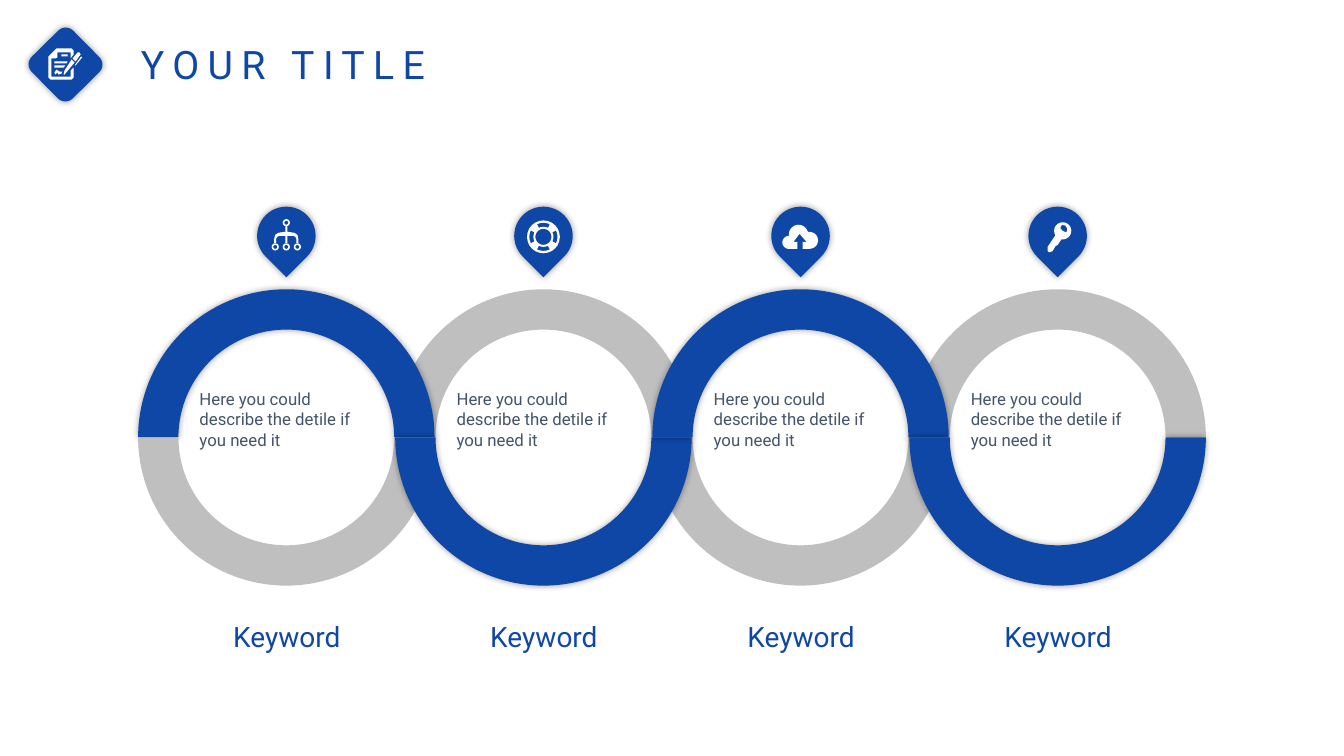
import math

import pptx
import pptx.dml.color
import pptx.enum.shapes
import pptx.enum.text
import pptx.oxml
import pptx.oxml.ns
import pptx.util
from pptx.util import Inches

COLOURS = {"blue": "0F47A6", "grey": "BFBFBF", "slate": "44546A", "white": "FFFFFF"}
FONT = "Roboto"
TITLE = "YOUR TITLE"
STEPS = [
    {"icon": "network", "keyword": "Keyword", "detail": "Here you could describe the detile if you need it"},
    {"icon": "lifebuoy", "keyword": "Keyword", "detail": "Here you could describe the detile if you need it"},
    {"icon": "cloud", "keyword": "Keyword", "detail": "Here you could describe the detile if you need it"},
    {"icon": "key", "keyword": "Keyword", "detail": "Here you could describe the detile if you need it"},
]
HALF_RINGS = [
    (3, "top", "grey"), (2, "bottom", "grey"), (1, "top", "grey"), (0, "top", "blue"),
    (0, "bottom", "grey"), (1, "bottom", "blue"), (2, "top", "blue"), (3, "bottom", "blue"),
]
HALF_ANGLES = {"top": (108, 0), "bottom": (0, 108)}
NOTE_ICON = [
    [(56, 48), (71, 48), (73, 50), (73, 54), (70, 58), (70, 52), (57, 52), (57, 57), (55, 58), (51, 58),
     (51, 76), (70, 76), (70, 70), (73, 67), (73, 77), (71, 79), (50, 79), (48, 77), (48, 56), (55, 49)],
    [(61, 54), (67, 54), (67, 56), (61, 56)],
    [(54, 61), (67, 61), (66, 63), (54, 63)],
    [(54, 65), (65, 65), (63, 67), (54, 67)],
    [(56, 69), (59, 71), (62, 71), (61, 73), (58, 74), (57, 72), (55, 74), (54, 72)],
    [(71, 59), (74, 62), (64, 74), (63, 74), (64, 70)],
    [(77, 52), (79, 52), (80, 54), (75, 61), (72, 58)],
    [(80.5, 56), (81.5, 57), (75, 65), (74, 65)],
]
FIRST_CENTRE, PITCH = 2.84, 2.55
RING_Y, RING_SIZE, RING_BAND = 4.34, 2.94, 0.4
PIN_Y, PIN_SIZE = 2.34, 0.58


def arc(x, y, radius, start=0, end=360):
    step = 15 if radius > 5 else 30
    steps = math.ceil(abs(end - start) / step)
    angles = [math.radians(start + (end - start) * i / steps) for i in range(steps + 1)]
    return [(x + radius * math.cos(a), y + radius * math.sin(a)) for a in angles]


def network_icon():
    half = [(1, -9), (1, -4), (8, -3), (11, -1), (12, 3), (12, 7), (10, 7),
            (10, 3), (9, 1), (7, 0), (1, 0), (1, 7)]
    nodes = [(0, -13), (-11, 11), (0, 11), (11, 11)]
    circles = [arc(x, y, r) for x, y in nodes for r in (3.6, 2)]
    return [half + [(-x, y) for x, y in reversed(half)]] + circles


def lifebuoy_icon():
    gaps = [arc(0, 1, 14, turn - 27, turn + 27) + arc(0, 1, 10, turn + 27, turn - 27)
            for turn in range(0, 360, 90)]
    return [arc(0, 1, 16.3), arc(0, 1, 8)] + gaps


def cloud_icon():
    arrow = [(-3, 13), (-3, 6), (-7, 6), (-1, -2), (6, 6), (2, 6), (2, 13)]
    lobes = arc(9, 4.5, 8.4, 90, -100) + arc(-2, -1.5, 9.5, -20, -185) + arc(-11.5, 6.5, 6.5, -85, -270)
    return [arrow + lobes]


def key_icon():
    shaft = [(4, 3), (0, 9), (-2, 10), (-5, 15), (-7, 16), (-9, 16), (-10, 15), (-10, 11), (-2, -1)]
    hole = [(3, -9), (4.5, -11), (8, -10), (9.5, -7), (9, -4), (7, -4), (5, -5), (3, -7)]
    return [shaft + arc(5, -5, 8.5, 150, 457), hole]


ICONS = {"network": network_icon, "lifebuoy": lifebuoy_icon, "cloud": cloud_icon, "key": key_icon}


def rgb(colour):
    return pptx.dml.color.RGBColor.from_string(COLOURS[colour])


def paint(shape, colour, glow=False):
    shape.fill.solid()
    shape.fill.fore_color.rgb = rgb(colour)
    shape.line.fill.background()
    shape.shadow.inherit = False
    if glow:
        effects = shape._element.spPr.find(pptx.oxml.ns.qn("a:effectLst"))
        effects.append(pptx.oxml.parse_xml(
            f'<a:outerShdw {pptx.oxml.ns.nsdecls("a")} blurRad="63500" algn="ctr" rotWithShape="0">'
            '<a:srgbClr val="000000"><a:alpha val="40000"/></a:srgbClr></a:outerShdw>'))


def icon(slide, contours, x=0, y=0):
    placed = [[(x * 1000 + px * 10, y * 1000 + py * 10) for px, py in c] for c in contours]
    builder = slide.shapes.build_freeform(*placed[0][0], scale=914.4)
    builder.add_line_segments(placed[0][1:], close=True)
    for contour in placed[1:]:
        builder.move_to(*contour[0])
        builder.add_line_segments(contour[1:], close=True)
    paint(builder.convert_to_shape(), "white")


def centred(slide, preset, x, y, size, colour="blue"):
    box = (x - size / 2, y - size / 2, size, size)
    shape = slide.shapes.add_shape(preset, *map(Inches, box))
    paint(shape, colour, glow=colour == "blue")
    return shape


def label(slide, box, text, size, colour, align="LEFT", wrap=True):
    frame = slide.shapes.add_textbox(*map(Inches, box)).text_frame
    frame.word_wrap = wrap
    paragraph = frame.paragraphs[0]
    paragraph.text = text
    paragraph.alignment = pptx.enum.text.PP_ALIGN[align]
    paragraph.font.size = pptx.util.Pt(size)
    paragraph.font.name = FONT
    paragraph.font.color.rgb = rgb(colour)
    return paragraph


def main():
    """Build the slide of four linked rings with pins and keywords."""
    deck = pptx.Presentation()
    deck.slide_width, deck.slide_height = Inches(13.33), Inches(7.5)
    slide = deck.slides.add_slide(deck.slide_layouts[6])
    presets = pptx.enum.shapes.MSO_SHAPE
    centres = [FIRST_CENTRE + PITCH * i for i in range(len(STEPS))]

    diamond = centred(slide, presets.ROUNDED_RECTANGLE, 0.65, 0.64, PIN_SIZE)
    diamond.rotation = 315.4
    diamond.adjustments[0] = 0.18
    icon(slide, NOTE_ICON)
    title = label(slide, (1.3, 0.35, 3.31, 0.57), TITLE, 28, "blue", wrap=False)
    title.runs[0]._r.get_or_add_rPr().set("spc", "600")

    for step, half, colour in HALF_RINGS:
        ring = centred(slide, presets.BLOCK_ARC, centres[step], RING_Y, RING_SIZE, colour)
        ring.adjustments[0], ring.adjustments[1] = HALF_ANGLES[half]
        ring.adjustments[2] = RING_BAND / RING_SIZE

    for x, step in zip(centres, STEPS):
        pin = centred(slide, presets.TEAR, x, PIN_Y, PIN_SIZE)
        pin.rotation = 135
        icon(slide, ICONS[step["icon"]](), x, PIN_Y)
        label(slide, (x - 1.11, 6.1, 2.23, 0.48), step["keyword"], 20, "blue", "CENTER")
        label(slide, (x - 0.96, 3.81, 1.92, 1.07), step["detail"], 12, "slate")

    deck.save("out.pptx")


if __name__ == "__main__":
    main()
